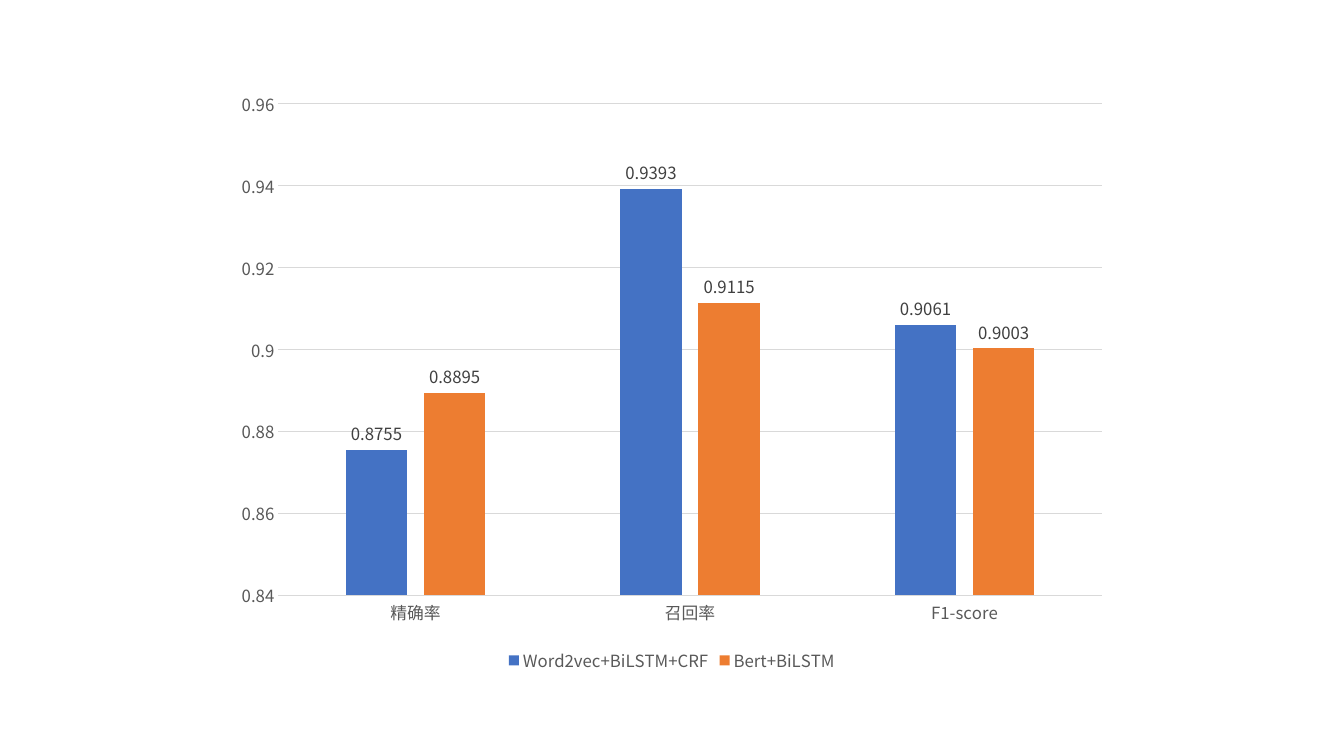
"""Builds a slide with a column chart comparing two models on three scores."""
from dataclasses import dataclass

from lxml.etree import QName, Element
from pptx import Presentation
from pptx.chart.data import CategoryChartData as Data
from pptx.dml.color import RGBColor as RGB
from pptx.enum.chart import XL_CHART_TYPE as Kind
from pptx.enum.chart import XL_LABEL_POSITION as Spot
from pptx.enum.chart import XL_LEGEND_POSITION as Place
from pptx.enum.chart import XL_TICK_MARK as Tick
from pptx.util import Cm, Pt


@dataclass(frozen=True)
class Theme:
    face: str = "Noto Sans CJK SC"
    base: Pt = Pt(10)
    size: Pt = Pt(12)
    rule: Pt = Pt(0.75)
    black: RGB = RGB.from_string("000000")
    text: RGB = RGB.from_string("595959")
    label: RGB = RGB.from_string("404040")
    grid: RGB = RGB.from_string("D9D9D9")
    bars: tuple = (RGB.from_string("4472C4"), RGB.from_string("ED7D31"))


theme = Theme()


def style(font, size, color):
    font.name, font.size, font.bold = theme.face, size, False
    font.color.rgb = color


deck = Presentation()
deck.slide_width, deck.slide_height = Cm(33.87), Cm(19.05)
slide = deck.slides.add_slide(deck.slide_layouts[6])

data = Data(number_format="General")
data.categories = ["精确率", "召回率", "F1-score"]
scores = {
    "Word2vec+BiLSTM+CRF": (0.8755, 0.9393, 0.9061),
    "Bert+BiLSTM": (0.8895, 0.9115, 0.9003),
}
for name, values in scores.items():
    data.add_series(name, values)

frame = slide.shapes.add_chart(
    Kind.COLUMN_CLUSTERED, Cm(5.64), Cm(2), Cm(22.58), Cm(15.06), data)
chart = frame.chart
chart.has_title = False
style(chart.font, theme.base, theme.black)

plot = chart.plots[0]
for key, value in {"gap_width": 219, "overlap": -27,
                   "vary_by_categories": False}.items():
    setattr(plot, key, value)

for series, color in zip(plot.series, theme.bars):
    series.format.fill.solid()
    series.format.fill.fore_color.rgb = color
    series.invert_if_negative = False
    labels = series.data_labels
    labels.show_value = True
    labels.position = Spot.OUTSIDE_END
    style(labels.font, theme.size, theme.label)

base, scale = chart.category_axis, chart.value_axis
for axis in (base, scale):
    axis.major_tick_mark = axis.minor_tick_mark = Tick.NONE
    style(axis.tick_labels.font, theme.size, theme.text)

for key, value in {"minimum_scale": 0.84, "maximum_scale": 0.96,
                   "major_unit": 0.02}.items():
    setattr(scale, key, value)
scale.format.line.fill.background()
for line in (base.format.line, scale.major_gridlines.format.line):
    line.color.rgb, line.width = theme.grid, theme.rule

chart.has_legend = True
legend = chart.legend
legend.position = Place.BOTTOM
legend.include_in_layout = False
style(legend.font, theme.size, theme.text)

for latin in list(chart.element.iter("{*}latin")):
    space = QName(latin).namespace
    latin.addnext(Element(QName(space, "ea"), typeface=theme.face))

deck.save("out.pptx")
